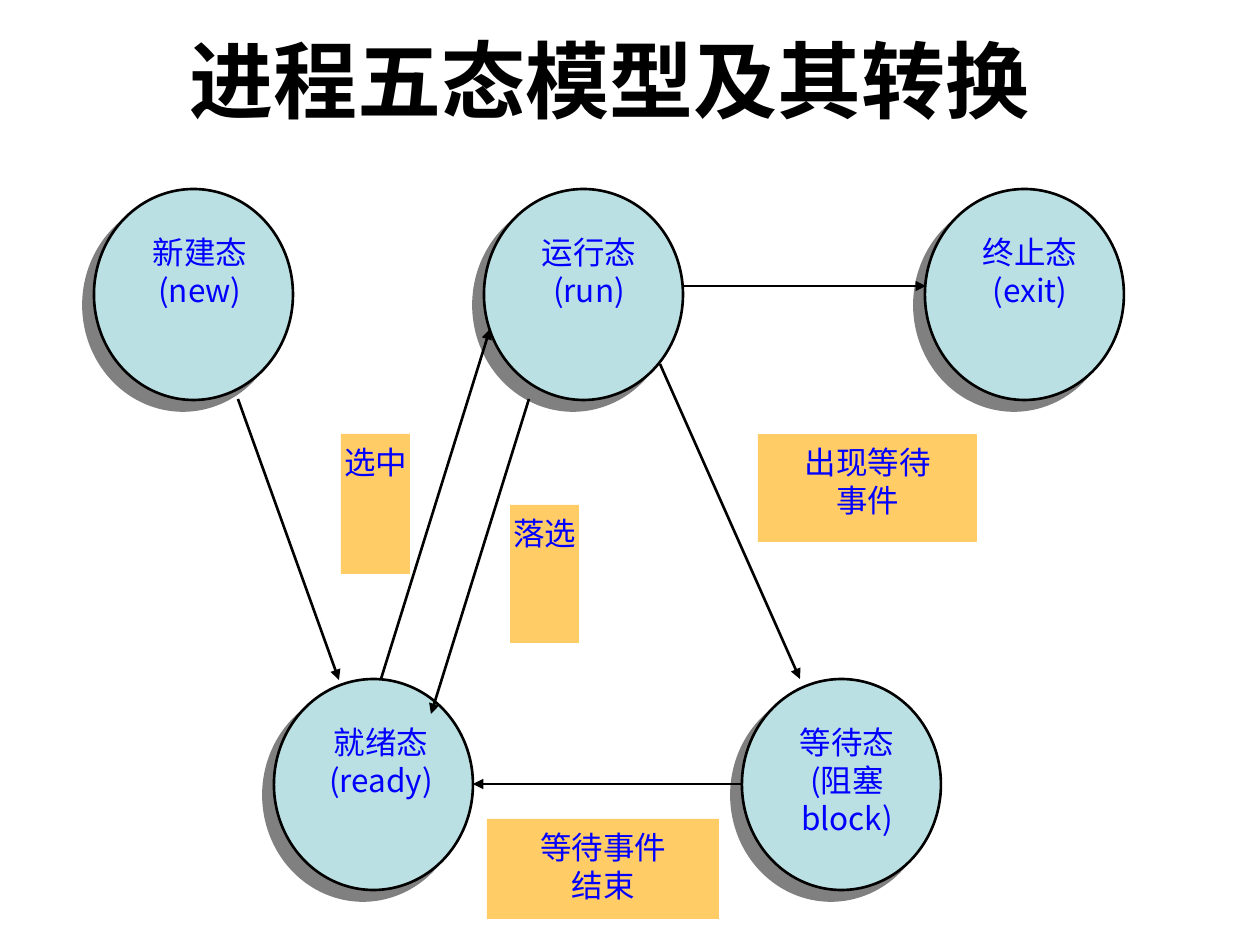
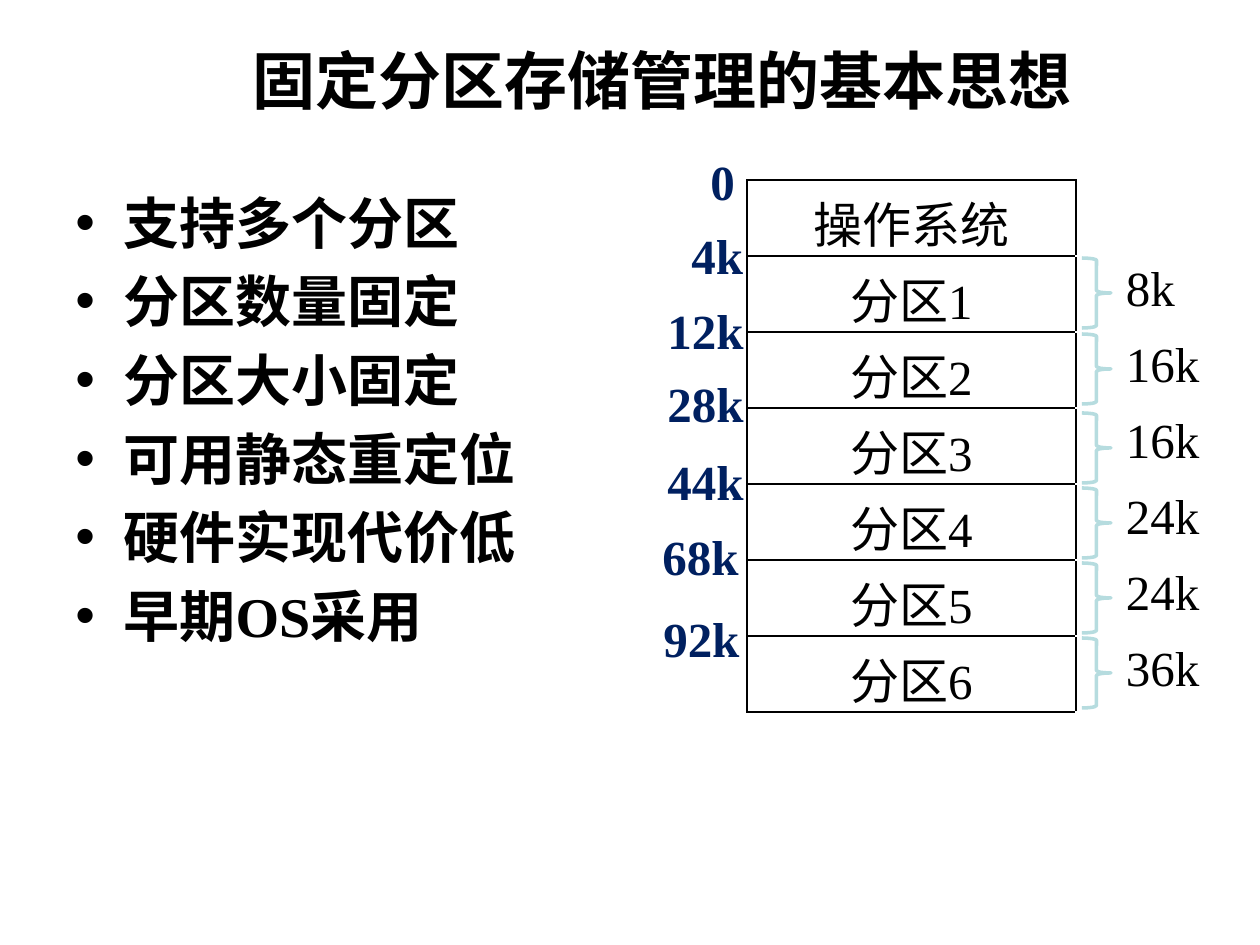
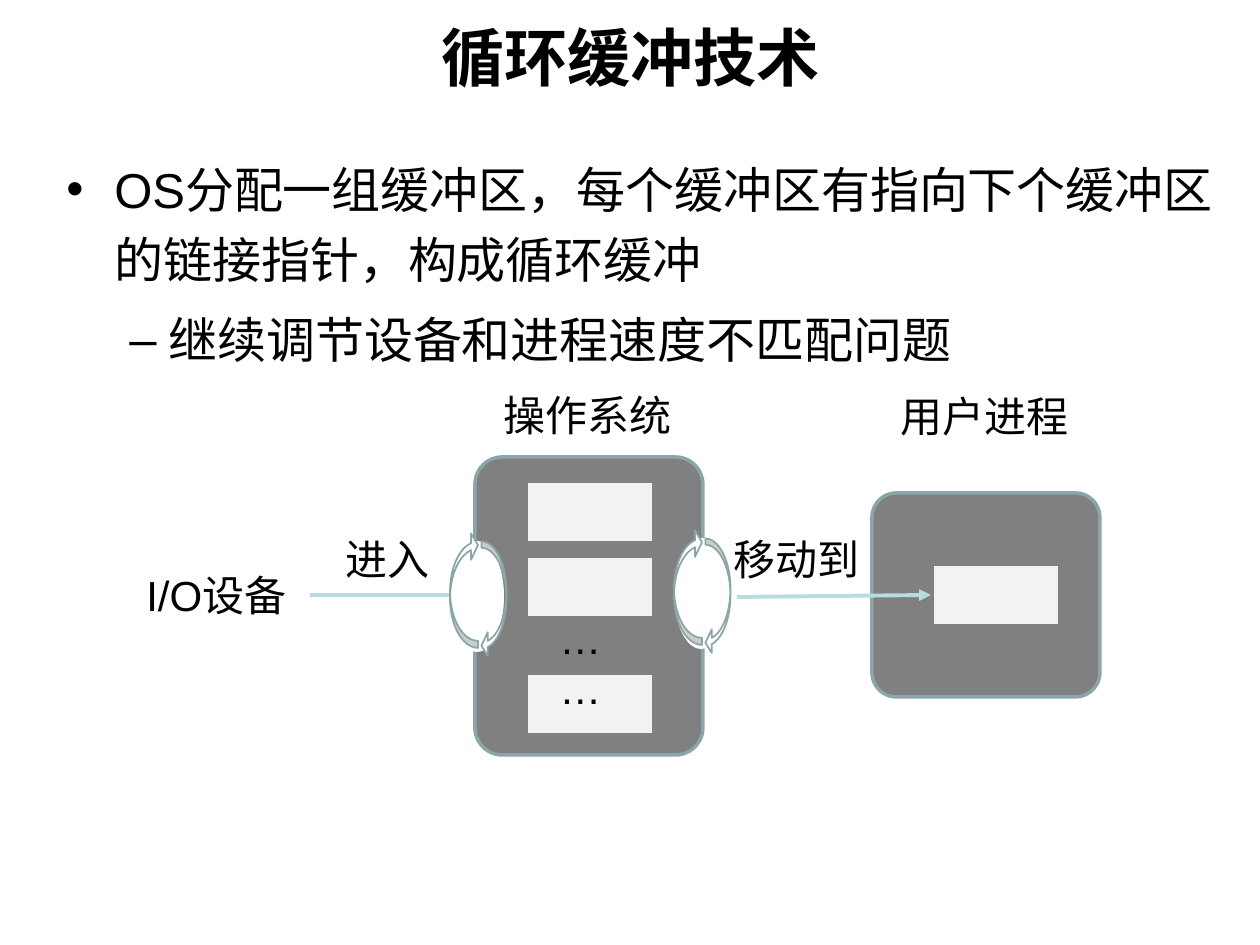
from lxml import etree
from pptx import Presentation
from pptx.dml.color import RGBColor
from pptx.enum.shapes import MSO_CONNECTOR, MSO_SHAPE
from pptx.enum.text import MSO_ANCHOR, PP_ALIGN
from pptx.oxml.ns import qn
from pptx.util import Inches, Pt

PX = 7257
LINE = "line"
STRAIGHT = MSO_CONNECTOR.STRAIGHT
OVAL, RECT, ROUNDED = MSO_SHAPE.OVAL, MSO_SHAPE.RECTANGLE, MSO_SHAPE.ROUNDED_RECTANGLE
BRACE, CURVED = MSO_SHAPE.RIGHT_BRACE, MSO_SHAPE.CURVED_UP_ARROW
LEFT, CENTER = PP_ALIGN.LEFT, PP_ALIGN.CENTER
TOP, MIDDLE = MSO_ANCHOR.TOP, MSO_ANCHOR.MIDDLE
SANS, SERIF, CJK = "Arial", "Times New Roman", "Noto Sans CJK JP"
COLORS = {
    "black": "000000", "white": "FFFFFF", "blue": "0000FF", "navy": "002060",
    "state": "BBE0E3", "event": "FFCC66", "brace": "B6DCDF", "edge": "8AA6A8",
    "gray": "808080", "buffer": "F2F2F2",
}


def write(frame, lines, font=SANS, size=24, color="black", bold=False, align=LEFT,
          anchor=TOP, wrap=True, spacing=None, before=0, bullets=()):
    frame.word_wrap = wrap
    frame.vertical_anchor = anchor
    for index, line in enumerate(lines):
        para = frame.paragraphs[0] if index == 0 else frame.add_paragraph()
        para.alignment = align
        if bullets:
            symbol, margin, indent = bullets[index]
            properties = para._p.get_or_add_pPr()
            properties.set("marL", str(margin * PX))
            properties.set("indent", str(indent * PX))
            etree.SubElement(properties, qn("a:buFont"), typeface=SANS)
            etree.SubElement(properties, qn("a:buChar"), char=symbol)
        if spacing:
            para.line_spacing = Pt(spacing)
        para.space_before = Pt(before if index else 0)
        span = para.add_run()
        span.text = line
        span.font.name = font
        span.font.size = Pt(size)
        span.font.bold = bold
        span.font.color.rgb = RGBColor.from_string(COLORS[color])
        etree.SubElement(span._r.get_or_add_rPr(), qn("a:ea"), typeface=CJK)


def draw(page, kind, box, fill=None, line=None, width=1, arrow=False):
    place = [length * PX for length in box]
    if kind == LINE:
        shape = page.shapes.add_connector(STRAIGHT, *place)
        etree.SubElement(shape._element.spPr, qn("a:effectLst"))
    else:
        shape = page.shapes.add_shape(kind, *place)
        shape.shadow.inherit = False
        if fill:
            shape.fill.solid()
            shape.fill.fore_color.rgb = RGBColor.from_string(COLORS[fill])
        else:
            shape.fill.background()
    if line:
        shape.line.color.rgb = RGBColor.from_string(COLORS[line])
        shape.line.width = Pt(width)
    else:
        shape.line.fill.background()
    if arrow:
        etree.SubElement(shape.line._get_or_add_ln(), qn("a:tailEnd"), type="triangle")
    return shape


deck = Presentation()
deck.slide_width, deck.slide_height = Inches(10), Inches(7.5)

pages = []
for title, box, font, size in [
    ("进程五态模型及其转换", (74, 0, 1071, 158), CJK, 48),
    ("固定分区存储管理的基本思想", (63, 0, 1197, 158), SERIF, 36),
    ("循环缓冲技术", (63, 0, 1134, 113), SANS, 36),
]:
    page = deck.slides.add_slide(deck.slide_layouts[5])
    heading = page.shapes.title
    heading.left, heading.top, heading.width, heading.height = [n * PX for n in box]
    write(heading.text_frame, [title], font=font, size=size, bold=True,
          align=CENTER, anchor=MIDDLE)
    pages.append(page)
states_page, partitions_page, buffers_page = pages

states = [
    (94, 189, 46, ["新建态(new)"]),
    (484, 189, 45, ["运行态", "(run)"]),
    (925, 189, 45, ["终止态", "(exit)"]),
    (274, 679, 47, ["就绪态", "(ready)"]),
    (742, 679, 45, ["等待态", "(阻塞block)"]),
]
for left, top, inset, lines in states:
    circle = draw(states_page, OVAL, (left, top, 199, 211), "state", "black", 1.5)
    effects = circle._element.spPr.find(qn("a:effectLst"))
    shadow = etree.SubElement(effects, qn("a:outerShdw"), dist=str(Pt(8.5)),
                              dir="8100000", algn="ctr", rotWithShape="0")
    etree.SubElement(shadow, qn("a:srgbClr"), val=COLORS["gray"])

for ends in [
    (381, 679, 490, 329), (529, 399, 431, 714), (660, 364, 800, 679),
    (741, 784, 473, 784), (238, 399, 339, 680), (683, 286, 926, 286),
]:
    draw(states_page, LINE, ends, line="black", width=1.5, arrow=True)

labels = [(left + inset, top + 35, 120, 140, "state", lines)
          for left, top, inset, lines in states]
labels += [
    (341, 434, 69, 140, "event", ["选中"]),
    (510, 505, 69, 138, "event", ["落选"]),
    (758, 434, 219, 108, "event", ["出现等待", "事件"]),
    (487, 819, 232, 100, "event", ["等待事件", "结束"]),
]
for left, top, width, height, fill, lines in labels:
    frame = draw(states_page, RECT, (left, top, width, height), fill).text_frame
    frame.margin_left = frame.margin_right = frame.margin_bottom = 0
    frame.margin_top = 9 * PX
    write(frame, lines, font=CJK, size=18, color="blue", align=CENTER, spacing=21.7)

features = ["支持多个分区", "分区数量固定", "分区大小固定", "可用静态重定位",
            "硬件实现代价低", "早期OS采用"]
body = partitions_page.shapes.add_textbox(63 * PX, 182 * PX, 600 * PX, 620 * PX)
write(body.text_frame, features, font=SERIF, size=32, bold=True, spacing=38.5,
      before=6.4, bullets=[("•", 48, -48)] * len(features))

sizes = ["", "8k", "16k", "16k", "24k", "24k", "36k"]
table = partitions_page.shapes.add_table(
    len(sizes), 2, 747 * PX, 180 * PX, 557 * PX, 532 * PX).table
table.first_row = table.horz_banding = False
table.columns[0].width, table.columns[1].width = 329 * PX, 228 * PX
for row, size in enumerate(sizes):
    table.rows[row].height = 76 * PX
    name = f"分区{row}" if row else "操作系统"
    for column, text, align, sides in [(0, name, CENTER, "LRTB"), (1, size, LEFT, "L")]:
        cell = table.cell(row, column)
        write(cell.text_frame, [text], font=SERIF, size=28, align=align)
        if column:
            cell.margin_left = 50 * PX
        properties = cell._tc.get_or_add_tcPr()
        for side in sides:
            border = etree.SubElement(properties, qn(f"a:ln{side}"), w=str(Pt(1)))
            paint = etree.SubElement(border, qn("a:solidFill"))
            etree.SubElement(paint, qn("a:srgbClr"), val=COLORS["black"])
        cell.fill.background()

for top in (258, 334, 413, 488, 563, 638):
    draw(partitions_page, BRACE, (1082, top, 29, 70), line="brace", width=2)

for address, left, top, width in [
    ("0", 698, 145, 50), ("4k", 679, 219, 78), ("12k", 655, 294, 102),
    ("28k", 655, 367, 102), ("44k", 655, 445, 102), ("68k", 650, 520, 102),
    ("92k", 651, 602, 102),
]:
    box = partitions_page.shapes.add_textbox(left * PX, top * PX, width * PX, 72 * PX)
    write(box.text_frame, [address], font=SERIF, size=28, color="navy", bold=True,
          wrap=False)

body = buffers_page.shapes.add_textbox(54 * PX, 142 * PX, 1181 * PX, 311 * PX)
write(body.text_frame,
      ["OS分配一组缓冲区，每个缓冲区有指向下个缓冲区的链接指针，构成循环缓冲",
       "继续调节设备和进程速度不匹配问题"],
      size=28, spacing=40, before=6, bullets=[("•", 48, -48), ("–", 102, -39)])

for box in [(475, 457, 228, 298), (872, 493, 228, 204)]:
    panel = draw(buffers_page, ROUNDED, box, "gray", "edge", 2)
    panel.adjustments[0] = 0.12
for left, top in [(526, 481), (526, 556), (526, 673), (932, 564)]:
    draw(buffers_page, RECT, (left, top, 128, 62), "buffer", "gray", 2)

draw(buffers_page, LINE, (310, 595, 452, 595), line="brace", width=2.25)
draw(buffers_page, LINE, (737, 597, 931, 595), line="brace", width=2.25, arrow=True)

for text, left, top, width in [
    ("I/O设备", 134, 563, 175), ("操作系统", 491, 383, 195), ("用户进程", 888, 384, 195),
    ("进入", 333, 527, 111), ("移动到", 721, 527, 152),
]:
    box = buffers_page.shapes.add_textbox(left * PX, top * PX, width * PX, 63 * PX)
    write(box.text_frame, [text], anchor=MIDDLE, wrap=False)
dots = buffers_page.shapes.add_textbox(547 * PX, 607 * PX, 87 * PX, 63 * PX)
write(dots.text_frame, ["……"], spacing=28.5)

for left, top in [(450, 541), (674, 538)]:
    draw(buffers_page, OVAL, (left, top, 54, 111), "white")
    for shift, drop, height, turn in [(-14, 46, 25, 90), (-44, 35, 28, 270)]:
        arrow = draw(buffers_page, CURVED, (left + shift, top + drop, 116, height),
                     "white", "edge", 1)
        arrow.rotation = turn
        arrow._element.spPr.xfrm.set("flipV", "1")
        for index, value in enumerate((0.25, 0.94, 0.25)):
            arrow.adjustments[index] = value

deck.save("out.pptx")
